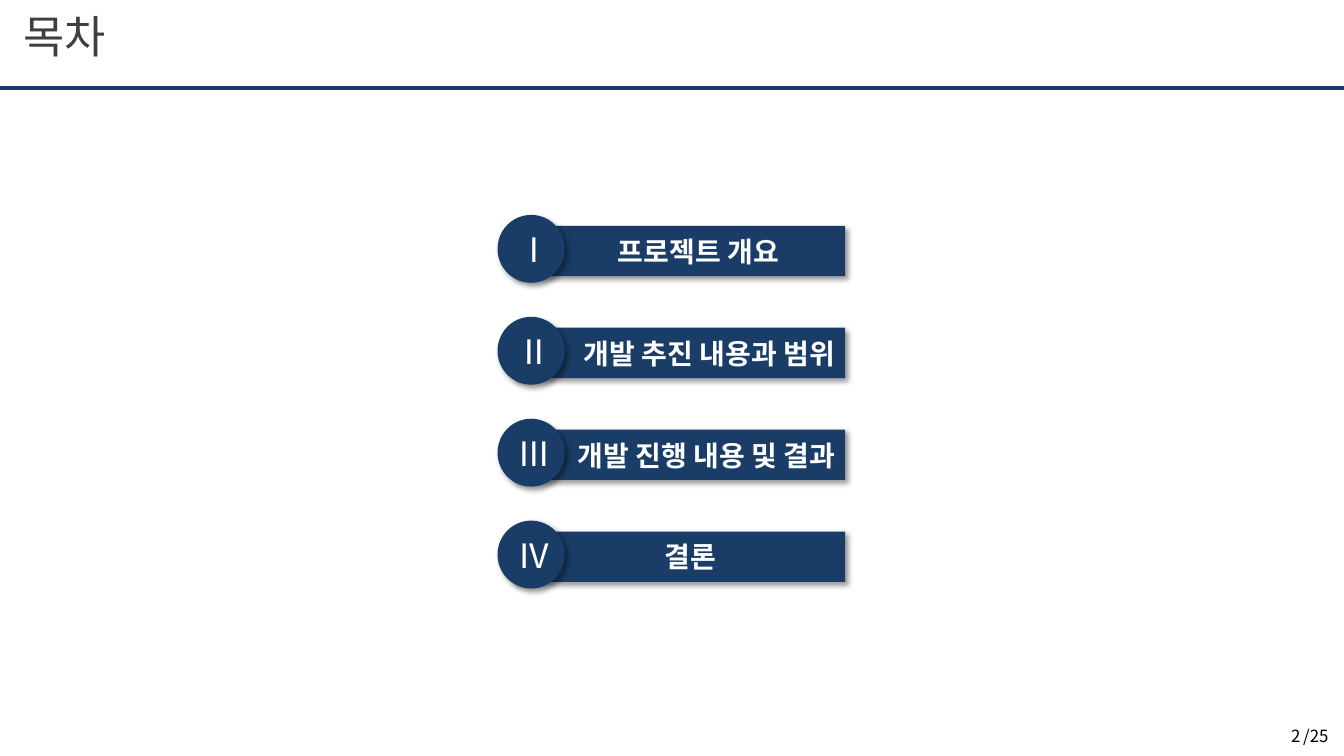
from dataclasses import dataclass

from lxml import etree
from pptx import Presentation
from pptx import util as u
from pptx.dml import color
from pptx.enum import shapes, text
from pptx.oxml import ns


@dataclass(frozen=True)
class Theme:
    font: str = "Noto Sans CJK KR"
    navy: str = "1A3D68"
    title: str = "3F3F3F"
    black: str = "000000"
    white: str = "FFFFFF"
    title_size: int = 32
    numeral_size: int = 24
    entry_size: int = 20
    page_size: int = 12


@dataclass(frozen=True)
class Entry:
    numeral: str
    label: str
    align: text.PP_ALIGN
    left_inset: float = 7.2


THEME = Theme()
ALIGN = text.PP_ALIGN
ENTRIES = [
    Entry("Ⅰ", "프로젝트 개요", ALIGN.CENTER, 34),
    Entry("Ⅱ", "개발 추진 내용과 범위", ALIGN.RIGHT),
    Entry("Ⅲ", "개발 진행 내용 및 결과", ALIGN.RIGHT),
    Entry("Ⅳ", "결론", ALIGN.CENTER, 23),
]
WIDTH, HEIGHT = 960, 540
FIRST_TOP, PITCH = 154, 72.8


def rgb(value: str) -> color.RGBColor:
    return color.RGBColor.from_string(value)


def write(sp, words: str, size: int, ink: str, align=ALIGN.LEFT, bold: bool = False,
          anchor=text.MSO_ANCHOR.MIDDLE, wrap: bool = True) -> None:
    tf = sp.text_frame
    tf.word_wrap = wrap
    tf.auto_size = text.MSO_AUTO_SIZE.NONE
    tf.vertical_anchor = anchor
    p = tf.paragraphs[0]
    p.add_run().text = words
    p.alignment = align
    p.font.name, p.font.size, p.font.bold = THEME.font, u.Pt(size), bold
    p.font.color.rgb = rgb(ink)
    fonts = p.font._element
    etree.SubElement(fonts, ns.qn("a:ea"), typeface=THEME.font)


def add_shadow(sp) -> None:
    sp.shadow.inherit = False
    effects = sp._element.spPr.find(ns.qn("a:effectLst"))
    shadow = etree.SubElement(effects, ns.qn("a:outerShdw"), blurRad=str(u.Pt(4)),
                              dist=str(u.Pt(3)), dir="2700000", algn="tl", rotWithShape="0")
    tint = etree.SubElement(shadow, ns.qn("a:srgbClr"), val=THEME.black)
    etree.SubElement(tint, ns.qn("a:alpha"), val="40000")


def add_navy_shape(group, kind, left: float, top: float, width: float, height: float):
    sp = group.shapes.add_shape(kind, u.Pt(left), u.Pt(top), u.Pt(width), u.Pt(height))
    sp.fill.solid()
    sp.fill.fore_color.rgb = rgb(THEME.navy)
    add_shadow(sp)
    return sp


def add_entry(s, entry: Entry, top: float) -> None:
    group = s.shapes.add_group_shape()
    bar = add_navy_shape(group, shapes.MSO_SHAPE.RECTANGLE, 367.2, top + 7.3, 236.5, 36)
    bar.line.fill.background()
    write(bar, entry.label, THEME.entry_size, THEME.white, entry.align, bold=True)
    bar.text_frame.margin_left = u.Pt(entry.left_inset)
    disc = add_navy_shape(group, shapes.MSO_SHAPE.OVAL, 355.9, top, 47, 47.5)
    disc.line.color.rgb = rgb(THEME.navy)
    disc.line.width = u.Pt(1)
    write(disc, entry.numeral, THEME.numeral_size, THEME.white, ALIGN.CENTER)


def add_title(s, words: str) -> None:
    sp = s.shapes.title
    sp.left, sp.top, sp.width, sp.height = u.Pt(9.4), u.Pt(7.2), u.Pt(688), u.Pt(46)
    write(sp, words, THEME.title_size, THEME.title, anchor=text.MSO_ANCHOR.TOP)
    sp.text_frame.paragraphs[0].line_spacing = 0.9


def add_rule(s) -> None:
    rule = s.shapes.add_connector(shapes.MSO_CONNECTOR.STRAIGHT,
                                  u.Pt(0), u.Pt(62.8), u.Pt(WIDTH), u.Pt(62.8))
    rule.line.color.rgb = rgb(THEME.navy)
    rule.line.width = u.Pt(3)
    etree.SubElement(rule._element.spPr, ns.qn("a:effectLst"))


def add_page_number(s, page: str, total: str) -> None:
    tb = s.shapes.add_textbox(u.Pt(923.8), u.Pt(514.8), u.Pt(36), u.Pt(21.8))
    write(tb, "/" + total, THEME.page_size, THEME.black,
          anchor=text.MSO_ANCHOR.TOP, wrap=False)
    tb = s.shapes.add_textbox(u.Pt(720), u.Pt(511.2), u.Pt(216), u.Pt(28.8))
    write(tb, page, THEME.page_size, THEME.black, ALIGN.RIGHT)


def main() -> None:
    prs = Presentation()
    prs.slide_width, prs.slide_height = u.Pt(WIDTH), u.Pt(HEIGHT)
    s = prs.slides.add_slide(prs.slide_layouts[5])
    add_title(s, "목차")
    add_rule(s)
    add_page_number(s, "2", "25")
    for i, entry in enumerate(ENTRIES):
        add_entry(s, entry, FIRST_TOP + i * PITCH)
    prs.save("out.pptx")


if __name__ == "__main__":
    main()
